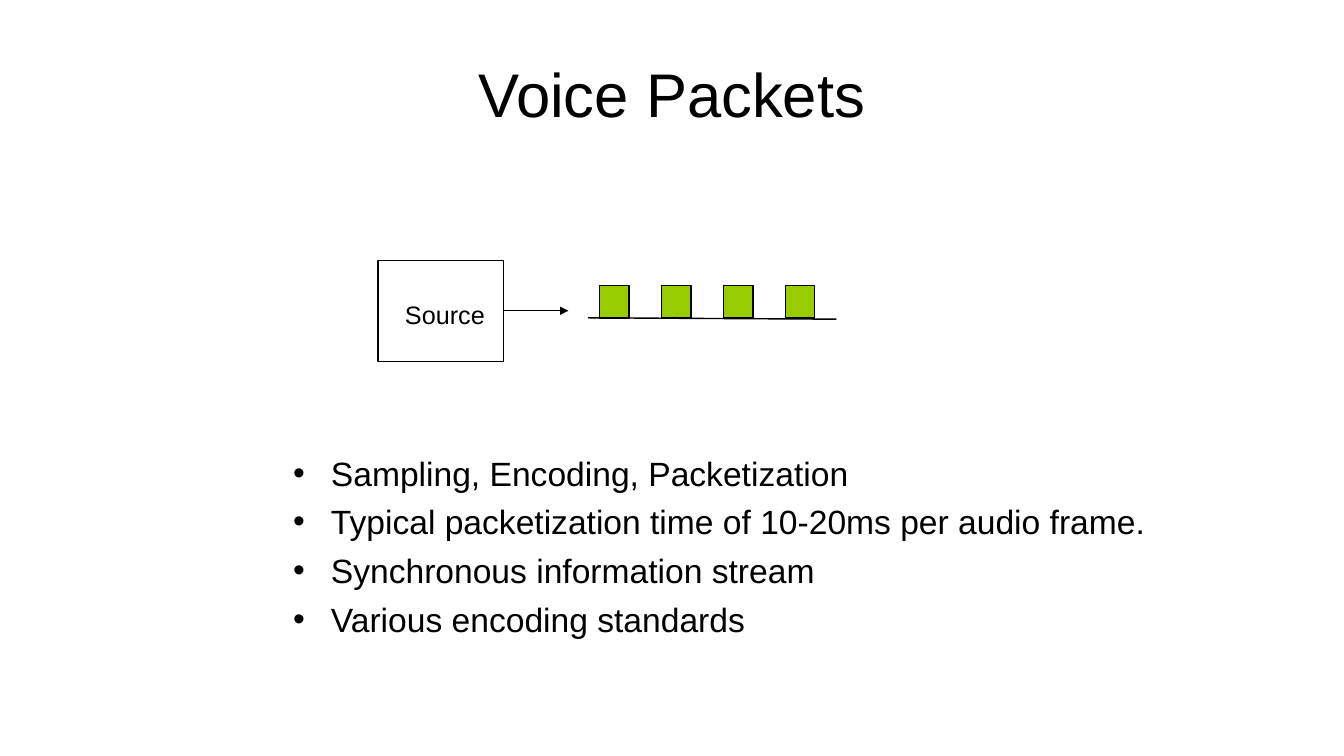
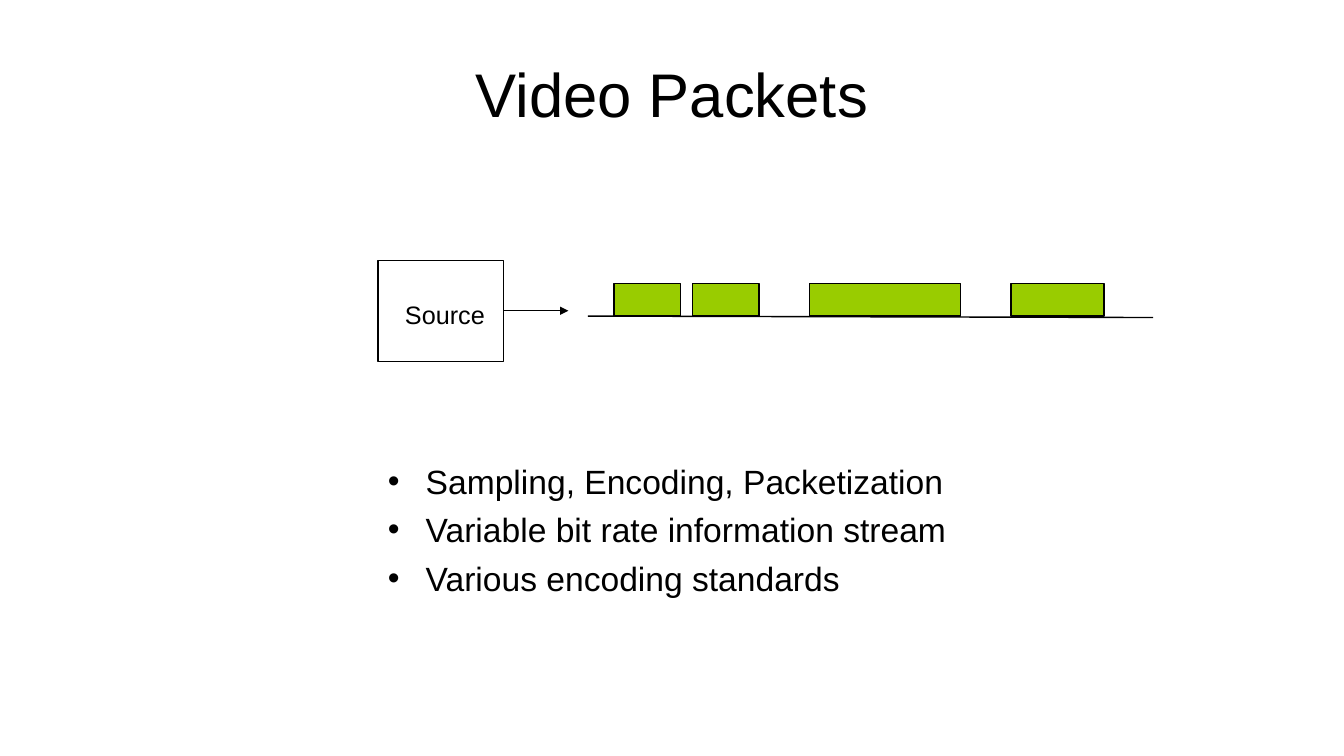
from dataclasses import dataclass

import lxml.etree
import pptx
import pptx.dml.color
import pptx.enum.shapes
import pptx.enum.text
import pptx.oxml.ns
import pptx.util

Pt = pptx.util.Pt
qn = pptx.oxml.ns.qn
RGB = pptx.dml.color.RGBColor
PP_ALIGN = pptx.enum.text.PP_ALIGN
ANCHOR = pptx.enum.text.MSO_ANCHOR


@dataclass(frozen=True)
class Theme:
    font: str = "Arial"
    ink: RGB = RGB(0x00, 0x00, 0x00)
    packet: RGB = RGB(0x99, 0xCC, 0x00)
    title_size: float = 44
    body_size: float = 24
    label_size: float = 18
    line: float = 1
    thin_line: float = 0.75
    indent: float = 27
    bullet_gap: float = 6


@dataclass(frozen=True)
class Box:
    left: float
    top: float
    width: float
    height: float

    def lengths(self) -> list:
        return [Pt(v) for v in (self.left, self.top, self.width, self.height)]


@dataclass(frozen=True)
class PacketSlide:
    title: str
    bullets: tuple[str, ...]
    body: Box
    packets: tuple[Box, ...]
    axis_y: float
    axis_end: float


THEME = Theme()
TITLE = Box(48, 21.6, 864, 90)
SOURCE = Box(270, 186, 90, 72)
LABEL = Box(282.2, 210.2, 71.3, 28.8)
ARROW_END = 406
AXIS_START = 420
PACKET_HEIGHT = 23.3

# Voice packets are equal and evenly spaced; video packets vary in length
VOICE_TOP, VOICE_LEFT, VOICE_WIDTH, VOICE_PITCH = 203.8, 428.4, 21, 44.2
VIDEO_TOP = 202.5
VIDEO_SPANS = ((438.5, 47.5), (494.6, 47.5), (578.2, 108), (722.2, 66.5))

SLIDES = (
    PacketSlide(
        "Voice Packets",
        ("Sampling, Encoding, Packetization",
         "Typical packetization time of 10-20ms per audio frame.",
         "Synchronous information stream",
         "Various encoding standards"),
        Box(202.3, 319.7, 648, 158.4),
        tuple(Box(VOICE_LEFT + i * VOICE_PITCH, VOICE_TOP, VOICE_WIDTH, PACKET_HEIGHT)
              for i in range(4)),
        227, 597.5),
    PacketSlide(
        "Video Packets",
        ("Sampling, Encoding, Packetization",
         "Variable bit rate information stream",
         "Various encoding standards"),
        Box(270, 325.4, 515.5, 114.5),
        tuple(Box(left, VIDEO_TOP, width, PACKET_HEIGHT) for left, width in VIDEO_SPANS),
        225.8, 823.7),
)


def add_text(s, box: Box, lines: tuple[str, ...], size: float, wrap: bool = True,
             align=PP_ALIGN.LEFT, anchor=ANCHOR.TOP, bulleted: bool = False) -> None:
    tf = s.shapes.add_textbox(*box.lengths()).text_frame
    tf.word_wrap = wrap
    tf.vertical_anchor = anchor
    tf.text = "\n".join(lines)
    for i, p in enumerate(tf.paragraphs):
        p.alignment = align
        if bulleted:
            add_bullet(p)
            if i:
                p.space_before = Pt(THEME.bullet_gap)
        for r in p.runs:
            r.font.name = THEME.font
            r.font.size = Pt(size)
            r.font.color.rgb = THEME.ink


def add_bullet(p) -> None:
    pPr = p._p.get_or_add_pPr()
    pPr.set("marL", str(Pt(THEME.indent)))
    pPr.set("indent", str(-Pt(THEME.indent)))
    lxml.etree.SubElement(pPr, qn("a:buFont")).set("typeface", THEME.font)
    lxml.etree.SubElement(pPr, qn("a:buChar")).set("char", "•")


def add_rect(s, box: Box, line: float, fill: RGB | None = None) -> None:
    sp = s.shapes.add_shape(pptx.enum.shapes.MSO_SHAPE.RECTANGLE, *box.lengths())
    sp.shadow.inherit = False
    if fill is None:
        sp.fill.background()
    else:
        sp.fill.solid()
        sp.fill.fore_color.rgb = fill
    sp.line.color.rgb = THEME.ink
    sp.line.width = Pt(line)


def add_line(s, x1: float, y1: float, x2: float, y2: float, arrow: bool = False) -> None:
    cxn = s.shapes.add_connector(pptx.enum.shapes.MSO_CONNECTOR.STRAIGHT,
                                 Pt(x1), Pt(y1), Pt(x2), Pt(y2))
    cxn.line.color.rgb = THEME.ink
    cxn.line.width = Pt(THEME.line)
    if arrow:
        ln = cxn.line._get_or_add_ln()
        lxml.etree.SubElement(ln, qn("a:tailEnd")).set("type", "triangle")
    lxml.etree.SubElement(cxn._element.spPr, qn("a:effectLst"))


def add_packet_slide(prs, content: PacketSlide) -> None:
    s = prs.slides.add_slide(prs.slide_layouts[6])

    # Title and bullets
    add_text(s, TITLE, (content.title,), THEME.title_size,
             align=PP_ALIGN.CENTER, anchor=ANCHOR.MIDDLE)
    add_text(s, content.body, content.bullets, THEME.body_size, bulleted=True)

    # Packet stream on its time axis
    for box in content.packets:
        add_rect(s, box, THEME.line, THEME.packet)
    add_line(s, AXIS_START, content.axis_y, content.axis_end, content.axis_y + 1)

    # Source and its outgoing arrow
    middle = SOURCE.top + SOURCE.height / 2
    add_line(s, SOURCE.left + SOURCE.width, middle, ARROW_END, middle, arrow=True)
    add_rect(s, SOURCE, THEME.thin_line)
    add_text(s, LABEL, ("Source",), THEME.label_size, wrap=False)


def main() -> None:
    prs = pptx.Presentation()
    prs.slide_width, prs.slide_height = Pt(960), Pt(540)
    for content in SLIDES:
        add_packet_slide(prs, content)
    prs.save("out.pptx")


if __name__ == "__main__":
    main()
